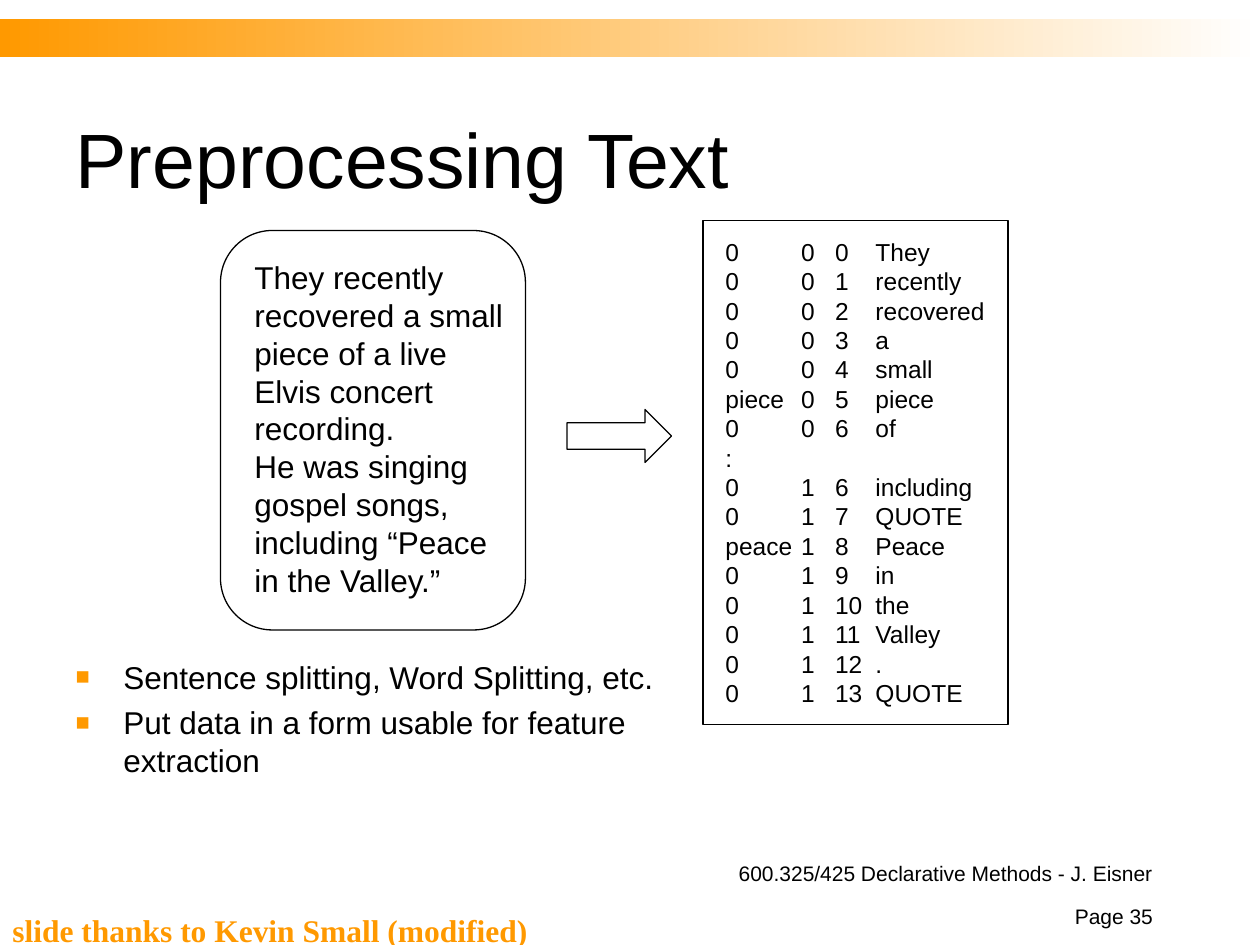
from lxml import etree
from pptx import Presentation
from pptx import util as u
from pptx.dml.color import RGBColor
from pptx.enum import shapes, text
from pptx.oxml.ns import qn

COLORS = {"ink": "000000", "accent": "FF9900", "paper": "FFFFFF"}
TOKENS = [
    "0 0 0 They", "0 0 1 recently", "0 0 2 recovered", "0 0 3 a",
    "0 0 4 small", "piece 0 5 piece", "0 0 6 of", ":",
    "0 1 6 including", "0 1 7 QUOTE", "peace 1 8 Peace", "0 1 9 in",
    "0 1 10 the", "0 1 11 Valley", "0 1 12 .", "0 1 13 QUOTE",
]
TOKEN_TABS = [0.6, 0.87, 1.19]


class SlideBuilder:
    font = {"name": "Arial", "size": u.Pt(18), "bold": False}

    def __init__(self, slide):
        self.slide = slide

    def place(self, shape, box):
        for name, value in zip(("left", "top", "width", "height"), box):
            setattr(shape, name, u.Inches(value))

    def fill_text(self, shape, lines, size=18, color="ink", font=None, frame=None, paragraph=None):
        text_frame = shape.text_frame
        frame_format = {"word_wrap": True, "auto_size": text.MSO_AUTO_SIZE.NONE,
                        "vertical_anchor": text.MSO_ANCHOR.TOP, **(frame or {})}
        for name, value in frame_format.items():
            setattr(text_frame, name, value)
        text_frame.text = "\n".join(lines)
        paragraph_format = {"alignment": text.PP_ALIGN.LEFT, "space_before": u.Pt(0),
                            **(paragraph or {})}
        font_format = {**self.font, "size": u.Pt(size), **(font or {})}
        for item in text_frame.paragraphs:
            for name, value in paragraph_format.items():
                setattr(item, name, value)
            for name, value in font_format.items():
                setattr(item.runs[0].font, name, value)
            item.runs[0].font.color.rgb = RGBColor.from_string(COLORS[color])
        return shape

    def title(self, box, line):
        shape = self.slide.shapes.title
        self.place(shape, box)
        self.fill_text(shape, [line], size=44,
                       frame={"vertical_anchor": text.MSO_ANCHOR.MIDDLE})

    def bullets(self, box, lines):
        shape = self.slide.placeholders[1]
        self.place(shape, box)
        self.fill_text(shape, lines, paragraph={"space_before": u.Pt(4.5)})
        for paragraph in shape.text_frame.paragraphs:
            properties = paragraph._p.get_or_add_pPr()
            properties.set("marL", str(u.Inches(0.38)))
            properties.set("indent", str(-u.Inches(0.38)))
            color = etree.SubElement(properties, qn("a:buClr"))
            etree.SubElement(color, qn("a:srgbClr"), val=COLORS["accent"])
            etree.SubElement(properties, qn("a:buSzPct"), val="75000")
            etree.SubElement(properties, qn("a:buFont"), typeface="Arial")
            etree.SubElement(properties, qn("a:buChar"), char="■")

    def text_box(self, box, lines, **style):
        shape = self.slide.shapes.add_textbox(*map(u.Inches, box))
        return self.fill_text(shape, lines, **style)

    def columns(self, box, rows, stops, size):
        lines = ["\t".join(row.split()) for row in rows]
        shape = self.text_box(box, lines, size=size, frame={"word_wrap": False})
        for paragraph in shape.text_frame.paragraphs:
            tabs = etree.SubElement(paragraph._p.get_or_add_pPr(), qn("a:tabLst"))
            for stop in stops:
                etree.SubElement(tabs, qn("a:tab"), pos=str(u.Inches(stop)), algn="l")

    def outline(self, kind, box, adjustments=()):
        shape = self.slide.shapes.add_shape(kind, *map(u.Inches, box))
        shape.shadow.inherit = False
        shape.fill.background()
        shape.line.color.rgb = RGBColor.from_string(COLORS["ink"])
        shape.line.width = u.Pt(0.75)
        for index, value in enumerate(adjustments):
            shape.adjustments[index] = value

    def gradient_band(self, box, colors):
        shape = self.slide.shapes.add_shape(shapes.MSO_SHAPE.RECTANGLE, *map(u.Inches, box))
        shape.shadow.inherit = False
        shape.line.fill.background()
        shape.fill.gradient()
        shape.fill.gradient_angle = 0
        for position, (stop, color) in enumerate(zip(shape.fill.gradient_stops, colors)):
            stop.position = position
            stop.color.rgb = RGBColor.from_string(COLORS[color])


def main():
    presentation = Presentation()
    presentation.slide_width = u.Inches(10)
    presentation.slide_height = u.Inches(7.5)
    builder = SlideBuilder(presentation.slides.add_slide(presentation.slide_layouts[1]))
    bottom = {"vertical_anchor": text.MSO_ANCHOR.BOTTOM}
    right = {"alignment": text.PP_ALIGN.RIGHT}

    builder.gradient_band((0, 0.15, 10, 0.3), ("accent", "paper"))
    builder.text_box((4.83, 6.83, 4.42, 0.25), ["600.325/425 Declarative Methods - J. Eisner"],
                     size=12, frame=bottom, paragraph=right)
    builder.text_box((8.25, 7.17, 1, 0.25), ["Page 35"],
                     size=12, frame=bottom, paragraph=right)
    builder.title((0.5, 0.5, 9, 1.5), "Preprocessing Text")
    builder.bullets((0.5, 5.17, 5, 1.25), [
        "Sentence splitting, Word Splitting, etc.",
        "Put data in a form usable for feature extraction",
    ])

    builder.text_box((1.92, 2, 2.19, 2.8), [
        "They recently recovered a small piece of a live Elvis concert recording.",
        "He was singing gospel songs, including “Peace in the Valley.”",
    ])
    builder.outline(shapes.MSO_SHAPE.ROUNDED_RECTANGLE, (1.75, 1.83, 2.42, 3.17), (0.17,))
    builder.outline(shapes.MSO_SHAPE.RIGHT_ARROW, (4.5, 3.25, 0.83, 0.42), (0.5, 0.5))
    builder.columns((5.66, 1.83, 2.26, 3.84), TOKENS, TOKEN_TABS, size=14)
    builder.outline(shapes.MSO_SHAPE.RECTANGLE, (5.58, 1.75, 2.42, 4))

    builder.text_box((0, 7.33, 8.33, 0.25), ["slide thanks to Kevin Small (modified)"],
                     color="accent", font={"name": "Times New Roman", "bold": True},
                     frame=bottom, paragraph={"space_before": u.Pt(11.2)})
    presentation.save("out.pptx")


if __name__ == "__main__":
    main()
